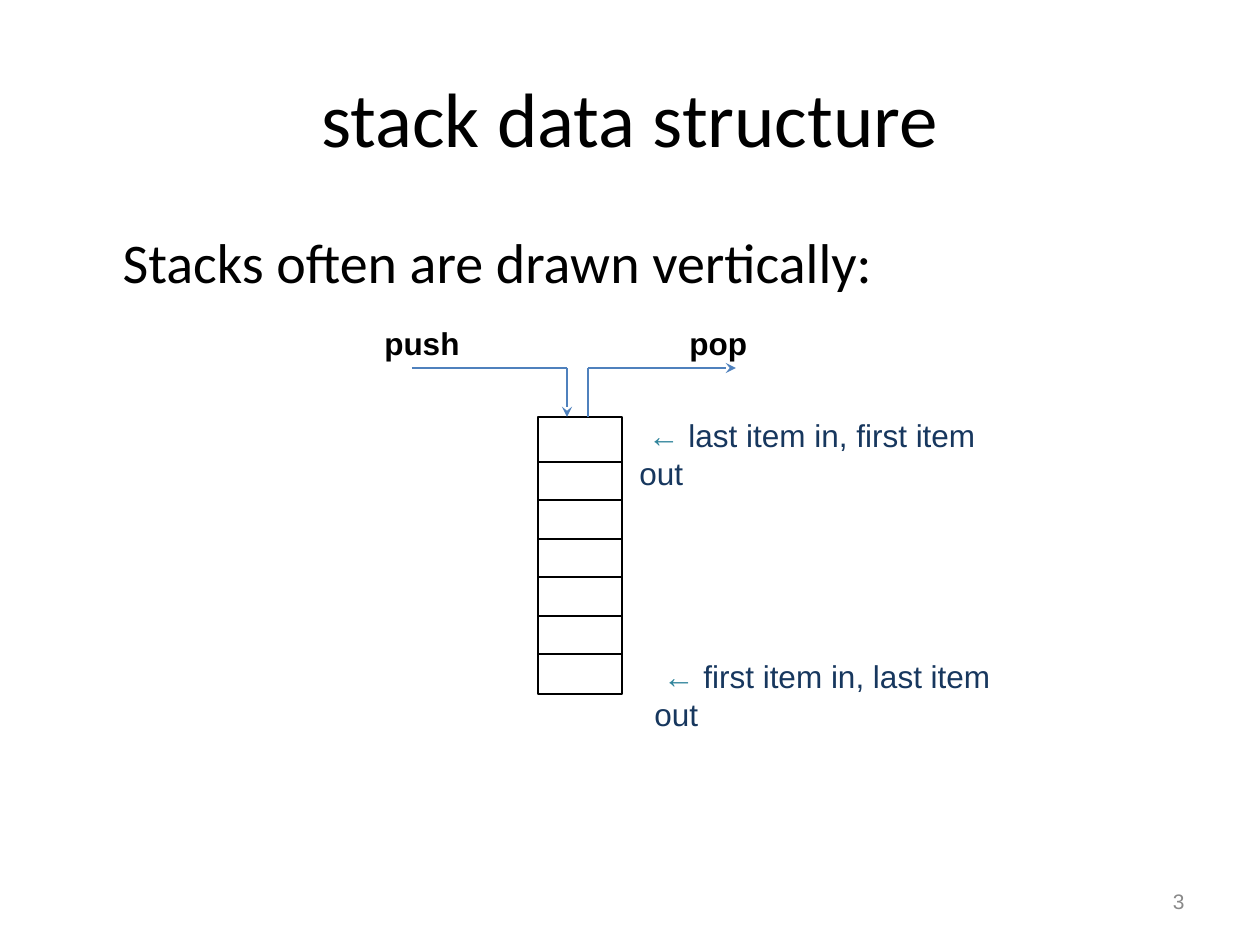
from lxml import etree
from pptx import Presentation
from pptx.dml.color import RGBColor
from pptx.enum.shapes import MSO_CONNECTOR, MSO_SHAPE
from pptx.enum.text import MSO_ANCHOR, PP_ALIGN
from pptx.oxml.ns import qn
from pptx.util import Pt

LINE = MSO_CONNECTOR.STRAIGHT
RECTANGLE = MSO_SHAPE.RECTANGLE
TOP, MIDDLE = MSO_ANCHOR.TOP, MSO_ANCHOR.MIDDLE
LEFT, CENTER, RIGHT = PP_ALIGN.LEFT, PP_ALIGN.CENTER, PP_ALIGN.RIGHT

BLACK = RGBColor(0x00, 0x00, 0x00)
GRAY = RGBColor(0x89, 0x89, 0x89)
BLUE = RGBColor(0x4F, 0x81, 0xBD)
TEAL = RGBColor(0x31, 0x85, 0x9C)
NAVY = RGBColor(0x17, 0x37, 0x5E)

SCALE = 914400 / 126

TITLE = "stack data structure"
INTRO = "Stacks often are drawn vertically:"
PAGE_NUMBER = "3"
OPERATIONS = [("push", 372, 101), ("pop", 677, 83)]
NOTES = [
    ("last item in, first item out", 627, 410),
    ("first item in, last item out", 642, 651),
]

STACK_LEFT, STACK_TOP, STACK_WIDTH, STACK_HEIGHT = 538, 417, 84, 277
CELL_HEIGHT, CELL_STEP, CELL_PAIRS = 38, 77, 3
FIRST_CELL_TOP = 462
ARROW_TOP = 368
PUSH_START, PUSH_X, POP_X, POP_END = 412, 567, 588, 736


def emu(*lengths):
    return [round(length * SCALE) for length in lengths]


def write(box, spans, size, font="Arial", bold=False, align=LEFT,
          anchor=TOP, wrap=True):
    frame = box.text_frame
    frame.word_wrap = wrap
    frame.vertical_anchor = anchor
    para = frame.paragraphs[0]
    para.alignment = align
    for text, color in spans:
        span = para.add_run()
        span.text = text
        span.font.name = font
        span.font.size = Pt(size)
        span.font.bold = bold
        span.font.color.rgb = color
    return para


def place(box, *bounds):
    box.left, box.top, box.width, box.height = emu(*bounds)


def add_text(page, bounds, spans, size, **style):
    box = page.shapes.add_textbox(*emu(*bounds))
    write(box, spans, size, **style)


def add_cell(page, top, height):
    cell = page.shapes.add_shape(
        RECTANGLE, *emu(STACK_LEFT, top, STACK_WIDTH, height))
    cell.shadow.inherit = False
    cell.fill.background()
    cell.line.color.rgb = BLACK
    cell.line.width = Pt(1)


def add_line(page, start, end, arrow):
    line = page.shapes.add_connector(LINE, *emu(*start, *end))
    line.line.color.rgb = BLUE
    line.line.width = Pt(1)
    properties = line._element.spPr
    if arrow:
        outline = properties.find(qn("a:ln"))
        etree.SubElement(outline, qn("a:tailEnd"), type="stealth")
    etree.SubElement(properties, qn("a:effectLst"))


def main():
    deck = Presentation()
    deck.slide_width, deck.slide_height = emu(1260, 945)
    page = deck.slides.add_slide(deck.slide_layouts[1])

    title = page.shapes.title
    place(title, 63, 38, 1134, 158)
    write(title, [(TITLE, BLACK)], 44, font="Calibri", align=CENTER,
          anchor=MIDDLE)

    body = page.placeholders[1]
    place(body, 63, 221, 1134, 624)
    para = write(body, [(INTRO, BLACK)], 32, font="Calibri")
    para.space_before = Pt(8)
    bullet = para._p.get_or_add_pPr()
    bullet.set("marL", str(emu(47)[0]))
    bullet.set("indent", "0")
    etree.SubElement(bullet, qn("a:buNone"))

    add_cell(page, STACK_TOP, STACK_HEIGHT)
    for index in range(CELL_PAIRS):
        add_cell(page, FIRST_CELL_TOP + index * CELL_STEP, CELL_HEIGHT)

    push_corner, pop_corner = (PUSH_X, ARROW_TOP), (POP_X, ARROW_TOP)
    add_line(page, (PUSH_START, ARROW_TOP), push_corner, False)
    add_line(page, push_corner, (PUSH_X, STACK_TOP), True)
    add_line(page, pop_corner, (POP_X, STACK_TOP), False)
    add_line(page, pop_corner, (POP_END, ARROW_TOP), True)

    for text, left, width in OPERATIONS:
        add_text(page, (left, 318, width, 50), [(text, BLACK)], 18,
                 bold=True, wrap=False)
    for text, left, top in NOTES:
        add_text(page, (left, top, 413, 50), [(" ← ", TEAL), (text, NAVY)],
                 18, wrap=False)
    add_text(page, (903, 876, 294, 50), [(PAGE_NUMBER, GRAY)], 12,
             align=RIGHT, anchor=MIDDLE)

    deck.save("out.pptx")


if __name__ == "__main__":
    main()
